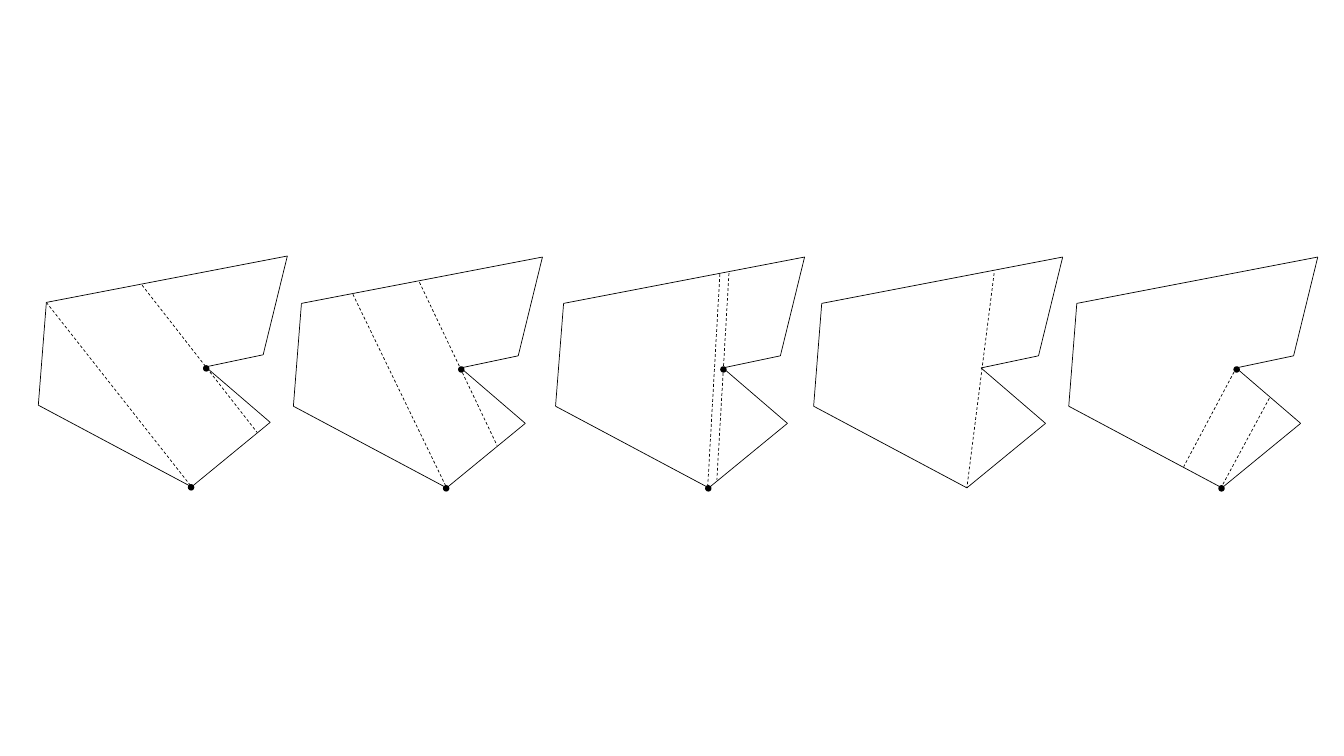
from pptx import Presentation, util as u
from pptx.dml.color import RGBColor
from pptx.enum import dml, shapes
from pptx.oxml.ns import qn
from lxml import etree

COLUMNS, ROWS = 1333, 750
DOT_SIZE = 5

# Corners, dots and chords are in grid cells from a panel's left and top.
LOWER_LEFT, BOTTOM, RIGHT = (0, 148), (152, 229), (230, 165)
NOTCH, INNER, TOP, UPPER_LEFT = (166, 110), (223, 98), (247, 0), (8, 46)
OUTLINE = [LOWER_LEFT, BOTTOM, RIGHT, NOTCH, INNER, TOP, UPPER_LEFT]
DOTS = [(149, 227), (164, 109)]

# Left, top, chords, whether the two dots show
PANELS = [
    (38, 254, [(UPPER_LEFT, BOTTOM), ((103, 29), (217, 175))], True),
    (291, 255, [((59, 37), BOTTOM), ((125, 25), (202, 187))], True),
    (551, 255, [((163, 17), (151, 227)), ((172, 16), (160, 221))], True),
    (807, 255, [((179, 16), BOTTOM)], False),
    (1060, 255, [((164, 114), (114, 208)), ((199, 140), (151, 229))], True),
]


def colour(value):
    return RGBColor.from_string(value)


class Sketch:
    """Draws black lines and dots on the page, measured in grid cells."""

    ink = "000000"
    line_width = 0.5
    dot_line_width = 1

    def __init__(self, deck):
        self.page = deck.slides.add_slide(deck.slide_layouts[6])
        self.column = deck.slide_width / COLUMNS
        self.row = deck.slide_height / ROWS

    def place(self, x, y):
        return u.Emu(round(x * self.column)), u.Emu(round(y * self.row))

    def line(self, start, end, dashed=False):
        edge = self.page.shapes.add_connector(
            shapes.MSO_CONNECTOR.STRAIGHT, *self.place(*start), *self.place(*end))
        edge.line.color.rgb = colour(self.ink)
        edge.line.width = u.Pt(self.line_width)
        if dashed:
            edge.line.dash_style = dml.MSO_LINE.DASH
        etree.SubElement(edge._element.spPr, qn("a:effectLst"))

    def dot(self, corner):
        mark = self.page.shapes.add_shape(
            shapes.MSO_SHAPE.OVAL, *self.place(*corner),
            *self.place(DOT_SIZE, DOT_SIZE))
        mark.shadow.inherit = False
        mark.fill.solid()
        mark.fill.fore_color.rgb = colour(self.ink)
        mark.line.color.rgb = colour(self.ink)
        mark.line.width = u.Pt(self.dot_line_width)

    def panel(self, left, top, chords, dotted):
        def shift(point):
            return left + point[0], top + point[1]

        for start, end in zip(OUTLINE, OUTLINE[1:] + OUTLINE[:1]):
            self.line(shift(start), shift(end))
        for start, end in chords:
            self.line(shift(start), shift(end), dashed=True)
        if dotted:
            for corner in DOTS:
                self.dot(shift(corner))


def main():
    deck = Presentation()
    deck.slide_width, deck.slide_height = u.Inches(13.33), u.Inches(7.5)
    sketch = Sketch(deck)
    for panel in PANELS:
        sketch.panel(*panel)
    deck.save("out.pptx")


if __name__ == "__main__":
    main()
